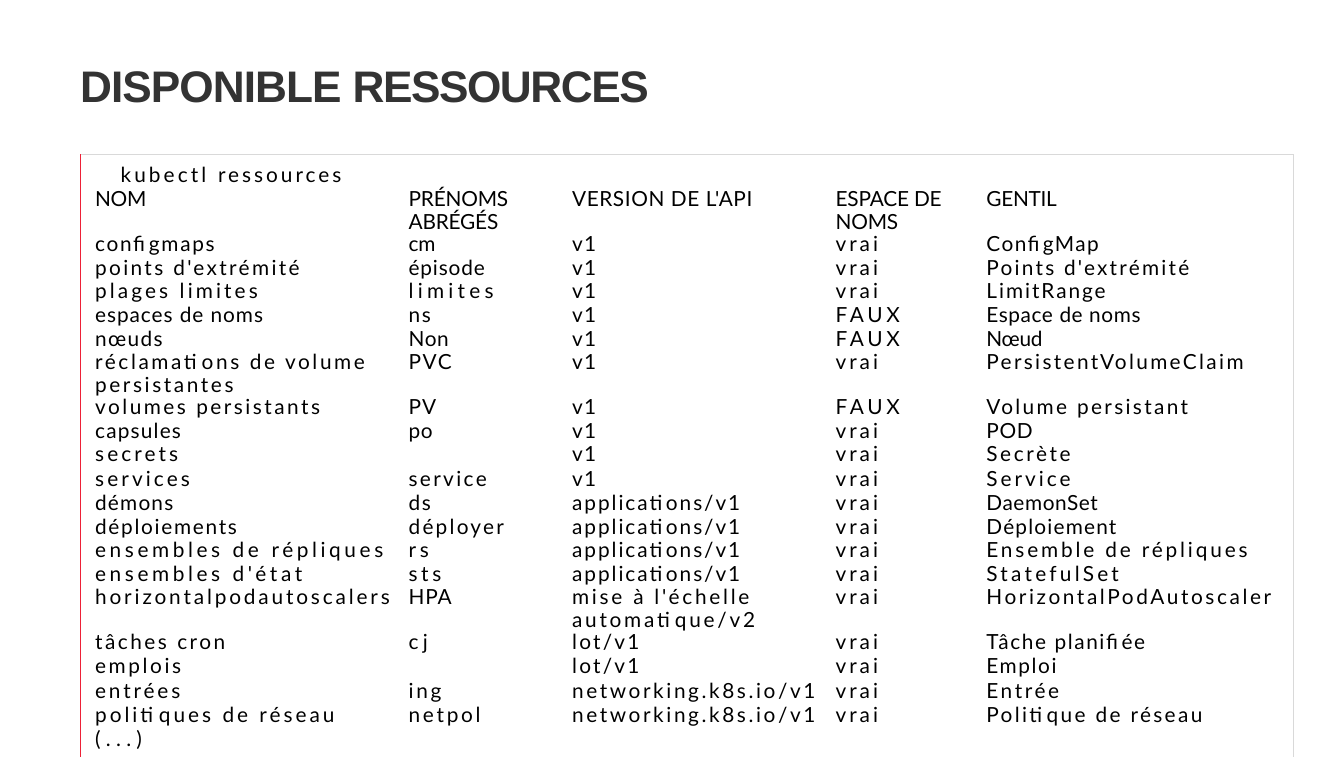
from dataclasses import dataclass

from lxml import etree
from pptx import Presentation
from pptx import util as u
from pptx.dml.color import RGBColor
from pptx.enum import text
from pptx.oxml import ns


@dataclass(frozen=True)
class Theme:
    title_font: str = "Arial"
    body_font: str = "Lato"
    title_size: float = 35
    body_size: float = 16.5
    title: str = "333333"
    body: str = "000000"
    accent: str = "ED2137"
    rule: str = "D9D9D9"
    rule_width: float = 0.75


@dataclass(frozen=True)
class Box:
    left: int
    top: int
    width: int
    height: int


THEME = Theme()
NO_STYLE = "{2D5ABB26-0587-4C30-8999-92F81FD0307C}"
COLUMNS = (3.54, 1.66, 3.04, 1.59, 3.52)
INDENTS = (0.16, 0.07, 0.21, 0.07, 0.14)
COMMAND_INDENT = 0.44
EDGE_ROW, BODY_ROW = 0.37, 0.26
COMMAND_LINE, HEADER_LINE, BODY_LINE, LAST_LINE = 18.9, 18, 17.8, 18.4

COMMAND = (("kubectl ", 2.5), ("ressources", 2.4))
HEADER = (
    ("NOM", -0.2),
    ("PRÉNOMS ABRÉGÉS", -0.1),
    ("VERSION DE L'API", 0.5),
    ("ESPACE DE NOMS", -0.1),
    ("GENTIL", -0.2),
)
CORE = ("v1", 1)
APPS = ("applications/v1", 1.6)
SCALING = ("mise à l'échelle automatique/v2", 2.2)
BATCH = ("lot/v1", 1.8)
NETWORK = ("networking.k8s.io/v1", 2.1)
YES = ("vrai", 2.4)
NO = ("FAUX", 3)
NONE = ("", 0)
RESOURCES = (
    (("configmaps", 1.4), ("cm", -0.2), CORE, YES, ("ConfigMap", 1.2)),
    (("points d'extrémité", 1.9), ("épisode", 0.7), CORE, YES, ("Points d'extrémité", 1.8)),
    (("plages limites", 2.5), ("limites", 3.4), CORE, YES, ("LimitRange", 1.6)),
    (("espaces de noms", 0.8), ("ns", 1.3), CORE, NO, ("Espace de noms", 0.5)),
    (("nœuds", 1.1), ("Non", 0.5), CORE, NO, ("Nœud", -0.2)),
    (("réclamations de volume persistantes", 2.1), ("PVC", 1.3), CORE, YES,
     ("PersistentVolumeClaim", 1.9)),
    (("volumes persistants", 2), ("PV", 0.9), CORE, NO, ("Volume persistant", 1.9)),
    (("capsules", 1), ("po", 0.6), CORE, YES, ("POD", 0.6)),
    (("secrets", 2.5), NONE, CORE, YES, ("Secrète", 2.1)),
    (("services", 2.5), ("service", 1.9), CORE, YES, ("Service", 2.4)),
    (("démons", 1), ("ds", 1.4), APPS, YES, ("DaemonSet", 0.5)),
    (("déploiements", 1.4), ("déployer", 1.8), APPS, YES, ("Déploiement", 1)),
    (("ensembles de répliques", 2.9), ("rs", 3), APPS, YES, ("Ensemble de répliques", 2.3)),
    (("ensembles d'état", 2.9), ("sts", 2.9), APPS, YES, ("StatefulSet", 2.6)),
    (("horizontalpodautoscalers", 2.3), ("HPA", 0.7), SCALING, YES,
     ("HorizontalPodAutoscaler", 2.1)),
    (("tâches cron", 2), ("cj", 3.5), BATCH, YES, ("Tâche planifiée", 1.3)),
    (("emplois", 2.1), NONE, BATCH, YES, ("Emploi", 1.3)),
    (("entrées", 2.3), ("ing", 2.2), NETWORK, YES, ("Entrée", 2.1)),
    (("politiques de réseau", 2.4), ("netpol", 2.2), NETWORK, YES,
     ("Politique de réseau", 1.9)),
)
LAST = (("(...)", 4.2), NONE, NONE, NONE, NONE)


def write_runs(p, runs, indent, font, size, color, bold=False):
    pPr = p._p.get_or_add_pPr()
    pPr.set("marL", str(u.Inches(indent)))
    pPr.set("indent", "0")
    p.alignment = text.PP_ALIGN.LEFT
    p.font.name = font
    p.font.size = u.Pt(size)
    p.font.bold = bold
    p.font.color.rgb = RGBColor.from_string(color)
    for words, tracking in runs:
        if words:
            r = p.add_run()
            r.text = words
            r._r.get_or_add_rPr().set("spc", str(round(tracking * 100)))


def add_border(cell, side, color):
    tcPr = cell._tc.get_or_add_tcPr()
    ln = etree.SubElement(tcPr, ns.qn(f"a:ln{side}"), w=str(u.Pt(THEME.rule_width)))
    fill = etree.SubElement(ln, ns.qn("a:solidFill"))
    etree.SubElement(fill, ns.qn("a:srgbClr"), val=color)


def fill_cell(cell, runs, indent, line):
    cell.margin_left = cell.margin_right = cell.margin_top = cell.margin_bottom = 0
    p = cell.text_frame.paragraphs[0]
    write_runs(p, runs, indent, THEME.body_font, THEME.body_size, THEME.body)
    p.line_spacing = u.Pt(line)


def frame_cell(cell, first_column, last_column, first_row, last_row):
    sides = (
        ("L", first_column, THEME.accent),
        ("R", last_column, THEME.rule),
        ("T", first_row, THEME.rule),
        ("B", last_row, THEME.rule),
    )
    for side, shown, color in sides:
        if shown:
            add_border(cell, side, color)
    cell.fill.background()


def add_title(s, box):
    sp = s.shapes.title
    sp.left, sp.top, sp.width, sp.height = box.left, box.top, box.width, box.height
    tf = sp.text_frame
    tf.word_wrap = True
    tf.auto_size = text.MSO_AUTO_SIZE.SHAPE_TO_FIT_TEXT
    tf.vertical_anchor = text.MSO_ANCHOR.TOP
    tf.margin_left = tf.margin_right = tf.margin_bottom = 0
    tf.margin_top = u.Inches(0.01)
    runs = (("DISPONIBLE ", -0.8), ("RESSOURCES", -1.2))
    write_runs(tf.paragraphs[0], runs, 0.01, THEME.title_font, THEME.title_size,
               THEME.title, bold=True)


def add_resource_table(s, box):
    rows = (HEADER, *RESOURCES, LAST)
    lines = (HEADER_LINE, *[BODY_LINE] * len(RESOURCES), LAST_LINE)
    heights = (EDGE_ROW, *[BODY_ROW] * (len(rows) - 1), EDGE_ROW)
    table = s.shapes.add_table(
        len(heights), len(COLUMNS), box.left, box.top, box.width, box.height
    ).table
    table.first_row = table.horz_banding = False
    table._tbl.tblPr.find(ns.qn("a:tableStyleId")).text = NO_STYLE
    for column, share in zip(table.columns, COLUMNS):
        column.width = round(box.width * share / sum(COLUMNS))
    for row, share in zip(table.rows, heights):
        row.height = round(box.height * share / sum(heights))

    command = table.cell(0, 0)
    command.merge(table.cell(0, len(COLUMNS) - 1))
    fill_cell(command, COMMAND, COMMAND_INDENT, COMMAND_LINE)
    command.margin_top = u.Inches(0.09)
    frame_cell(command, True, True, True, False)

    for i, (entries, line) in enumerate(zip(rows, lines), start=1):
        for j, (entry, indent) in enumerate(zip(entries, INDENTS)):
            cell = table.cell(i, j)
            fill_cell(cell, (entry,), indent, line)
            frame_cell(cell, j == 0, j == len(COLUMNS) - 1, False, i == len(rows))


def main():
    prs = Presentation()
    prs.slide_width, prs.slide_height = u.Inches(14.79), u.Inches(8.33)

    def percent_box(left, top, width, height):
        w, h = prs.slide_width / 100, prs.slide_height / 100
        return Box(round(left * w), round(top * h), round(width * w), round(height * h))

    s = prs.slides.add_slide(prs.slide_layouts[5])
    add_resource_table(s, percent_box(6, 20.4, 90.25, 71.3))
    add_title(s, percent_box(5.9, 7.55, 85.9, 7.3))
    prs.save("out.pptx")


if __name__ == "__main__":
    main()
